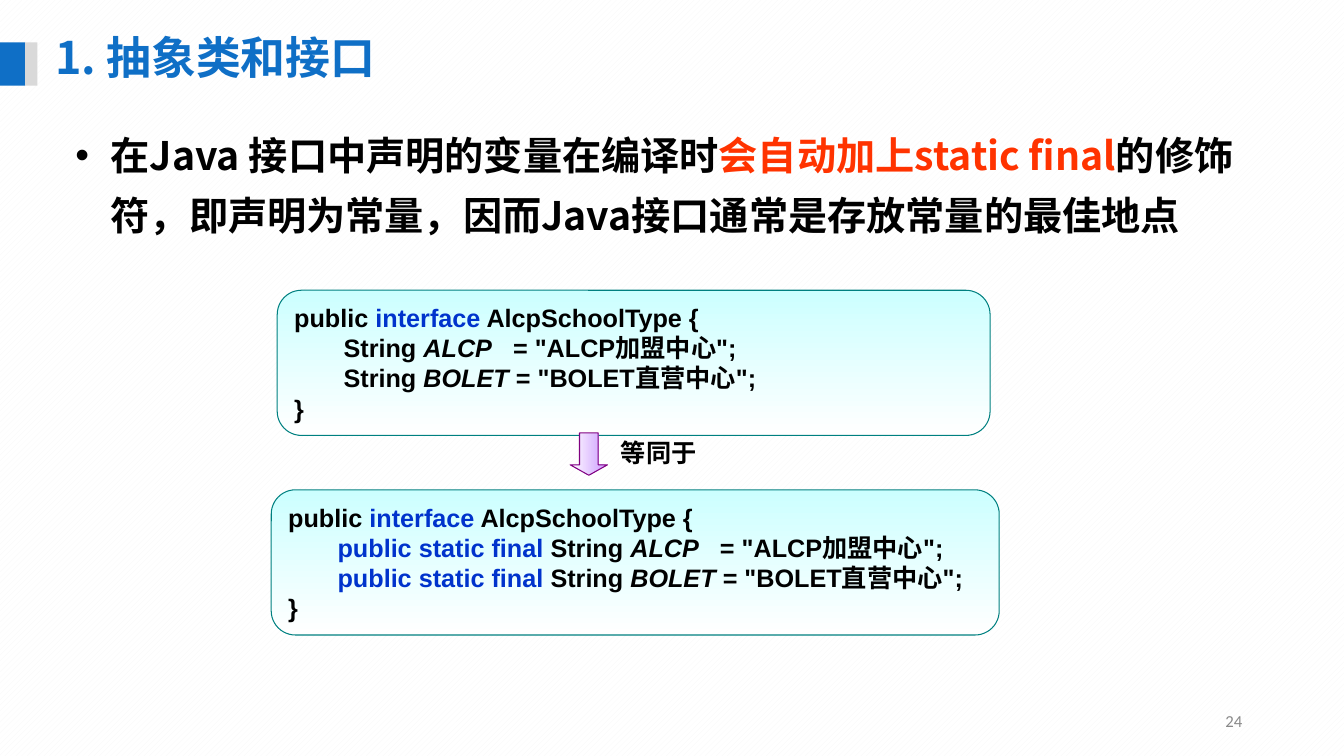
from lxml import etree
from pptx import Presentation, util as u
from pptx.dml.color import RGBColor
from pptx.enum import dml, shapes, text
from pptx.oxml import ns

COLORS = {
    "title": "0F6FC6", "accent": "D9D9D9", "ink": "000000",
    "highlight": "FF3300", "keyword": "0033CC", "number": "898989",
    "paper": "FFFFFF", "hatch": "F7F7F7",
    "code_top": "CCFFFF", "code_line": "008080",
    "arrow_top": "CC99FF", "arrow_line": "800080",
}
CJK = "Noto Sans CJK SC"


def rgb(name):
    return RGBColor.from_string(COLORS[name])


def add_run(paragraph, words, size, font, color="ink", bold=True,
            italic=False, east_asian=CJK):
    run = paragraph.add_run()
    run.text = words
    run.font.size = u.Pt(size)
    run.font.name = font
    run.font.bold = bold
    run.font.italic = italic
    run.font.color.rgb = rgb(color)
    ea = etree.SubElement(run._r.get_or_add_rPr(), ns.qn("a:ea"))
    ea.set("typeface", east_asian)


def add_frame(slide, box, wrap=True):
    """Add an empty text box and return its text frame."""
    frame = slide.shapes.add_textbox(*map(u.Inches, box)).text_frame
    frame.word_wrap = wrap
    return frame


def set_indent(paragraph, left, first=0.0):
    properties = paragraph._p.get_or_add_pPr()
    properties.set("marL", str(u.Inches(left)))
    properties.set("indent", str(u.Inches(first)))
    return properties


def add_block(slide, kind, box):
    block = slide.shapes.add_shape(kind, *map(u.Inches, box))
    block.shadow.inherit = False
    return block


def shade(block, top, line):
    """Fade from the top colour to white, inside a thin outline."""
    block.fill.gradient()
    block.fill.gradient_angle = 270
    for stop, color in zip(block.fill.gradient_stops, (top, "paper")):
        stop.color.rgb = rgb(color)
    block.line.color.rgb = rgb(line)
    block.line.width = u.Pt(0.75)


def draw_background(slide):
    fill = slide.background.fill
    fill.patterned()
    fill.pattern = dml.MSO_PATTERN.WIDE_UPWARD_DIAGONAL
    fill.fore_color.rgb = rgb("hatch")
    fill.back_color.rgb = rgb("paper")


def draw_header(slide, left, top, height):
    for offset, width, color in ((0, 0.25, "title"), (0.25, 0.12, "accent")):
        bar = add_block(slide, shapes.MSO_SHAPE.RECTANGLE,
                        (left + offset, top, width, height))
        bar.fill.solid()
        bar.fill.fore_color.rgb = rgb(color)
        bar.line.fill.background()
    heading = add_frame(slide, (left + 0.45, top - 0.09, 7.82, 0.64))
    heading.paragraphs[0].line_spacing = 0.84
    add_run(heading.paragraphs[0], "1. 抽象类和接口", 32, CJK, "title")


def draw_statement(slide, box):
    statement = add_frame(slide, box).paragraphs[0]
    statement.line_spacing = 1.27
    properties = set_indent(statement, 0.46, -0.35)
    bullet_font = etree.SubElement(properties, ns.qn("a:buFont"))
    bullet_font.set("typeface", "Arial")
    etree.SubElement(properties, ns.qn("a:buChar")).set("char", "•")
    for words, color in (
        ("在Java 接口中声明的变量在编译时", "ink"),
        ("会自动加上static final", "highlight"),
        ("的修饰符，即声明为常量，因而Java接口通常是存放常量的最佳地点", "ink"),
    ):
        add_run(statement, words, 28, CJK, color)


def draw_code(slide, box, modifiers=""):
    """Draw the interface listing, with modifiers before each constant."""
    panel = add_block(slide, shapes.MSO_SHAPE.ROUNDED_RECTANGLE, box)
    shade(panel, "code_top", "code_line")
    frame = panel.text_frame
    frame.word_wrap = False
    frame.vertical_anchor = text.MSO_ANCHOR.TOP

    lines = [[("public ", {}), ("interface", {"color": "keyword"}),
              (" AlcpSchoolType {", {})]]
    for constant, value in (("ALCP", '   = "ALCP加盟中心";'),
                            ("BOLET", ' = "BOLET直营中心";')):
        prefix = [(modifiers, {"color": "keyword"})] if modifiers else []
        declared = " String " if modifiers else "String "
        lines.append(prefix + [(declared, {}), (constant, {"italic": True}),
                               (value, {})])
    lines.append([("}", {})])

    for index, line in enumerate(lines):
        paragraph = frame.add_paragraph() if index else frame.paragraphs[0]
        paragraph.alignment = text.PP_ALIGN.LEFT
        set_indent(paragraph, 0.49 if 0 < index < len(lines) - 1 else 0)
        for words, style in line:
            add_run(paragraph, words, 18, "Arial", east_asian="Calibri",
                    **style)


def draw_equivalence(slide, left, top):
    arrow = add_block(slide, shapes.MSO_SHAPE.RIGHT_ARROW,
                      (left, top + 0.03, 0.42, 0.37))
    arrow.rotation = 90
    arrow.adjustments[0] = 0.5
    arrow.adjustments[1] = 0.28
    shade(arrow, "arrow_top", "arrow_line")
    label = add_frame(slide, (left + 0.43, top, 0.96, 0.4), wrap=False)
    add_run(label.paragraphs[0], "等同于", 18, "Arial", east_asian="Calibri")


def draw_page_number(slide, box):
    frame = add_frame(slide, box)
    frame.vertical_anchor = text.MSO_ANCHOR.MIDDLE
    frame.paragraphs[0].alignment = text.PP_ALIGN.RIGHT
    add_run(frame.paragraphs[0], "24", 12, "Calibri", "number", bold=False)


def main():
    deck = Presentation()
    deck.slide_width, deck.slide_height = u.Inches(13.33), u.Inches(7.5)
    slide = deck.slides.add_slide(deck.slide_layouts[6])
    draw_background(slide)
    draw_header(slide, 0, 0.42, 0.43)
    draw_statement(slide, (0.54, 1.13, 11.88, 1.21))
    draw_code(slide, (2.69, 4.86, 7.22, 1.44), "public static final")
    draw_code(slide, (2.75, 2.88, 7.07, 1.44))
    draw_equivalence(slide, 5.63, 4.29)
    draw_page_number(slide, (9.42, 6.95, 3, 0.4))
    deck.save("out.pptx")


if __name__ == "__main__":
    main()
